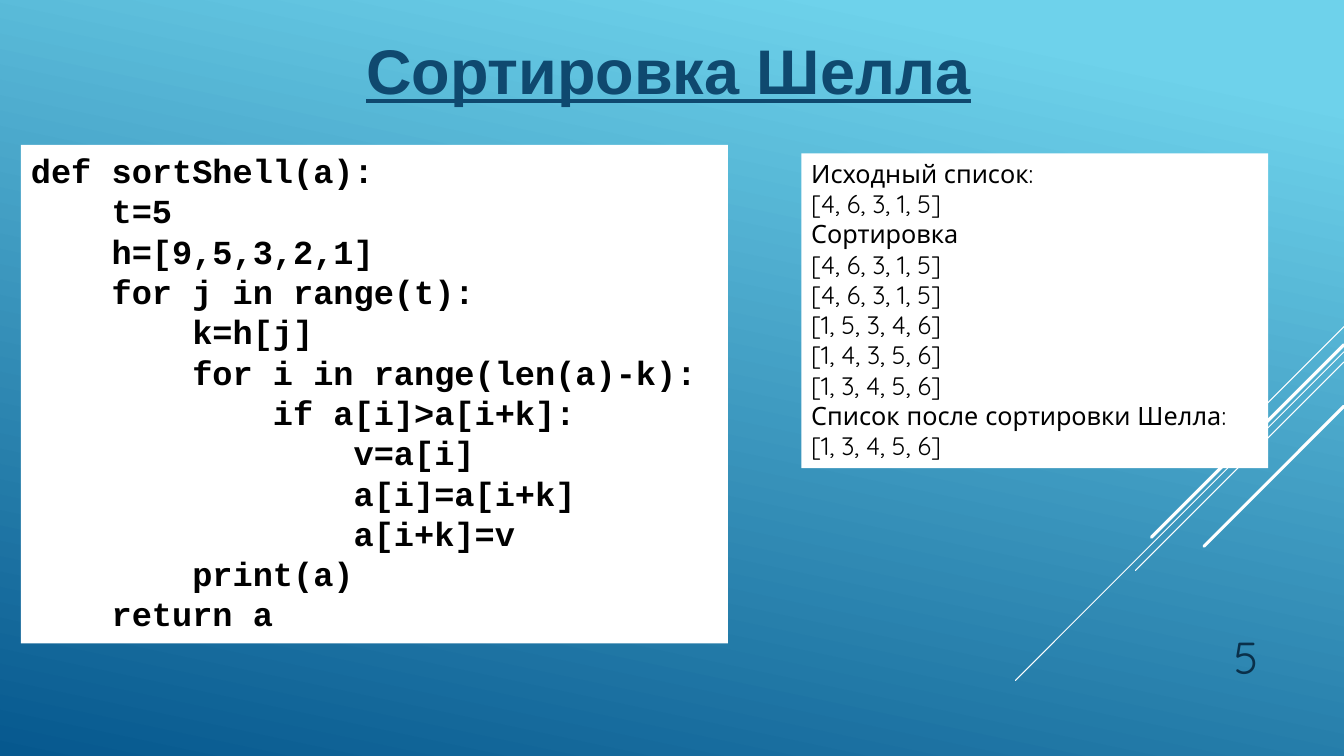
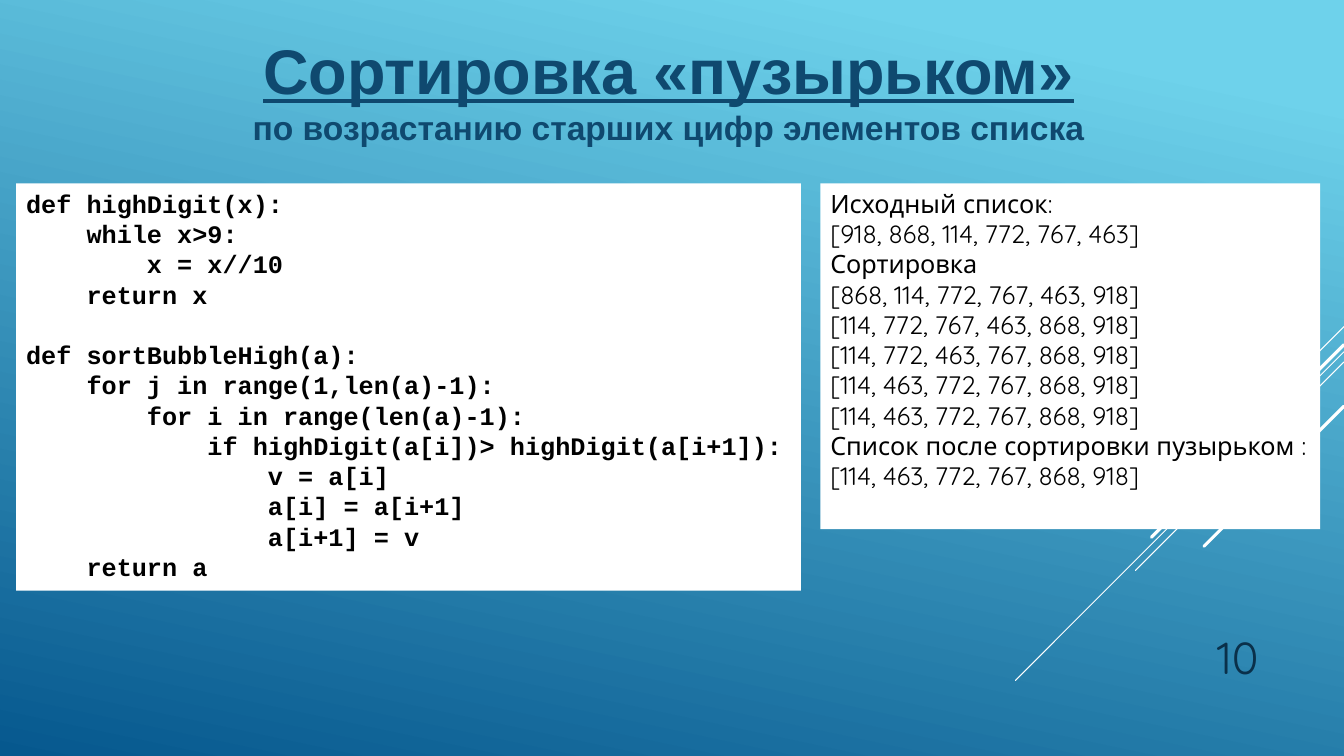
"""Build two slides on sorting algorithms, each with a code panel and an output panel."""
from pptx import Presentation
from pptx.dml.color import RGBColor
from pptx.enum.shapes import MSO_CONNECTOR
from pptx.enum.text import MSO_ANCHOR, MSO_AUTO_SIZE, PP_ALIGN
from pptx.oxml.ns import qn
from pptx.util import Pt
from lxml.etree import SubElement

COLORS = {"sky": "6ED2EB", "deep": "06588E", "title": "0F496F",
          "number": "0A304A", "text": "000000", "panel": "FFFFFF"}
WIDTH, HEIGHT = 960, 540
RAYS = [(233.3, 72, 0.75), (251.3, 234.7, 0.75), (258.5, 149, 0.75),
        (246.2, 137.5, 2.25), (290.2, 100, 2.25)]
NUMBER_BOX = (816, 439.2, 90, 52.5)
TITLE_LEFT, TITLE_TOP, TITLE_WIDTH = 49, 18.7, 857

SHELL_CODE = """def sortShell(a):
    t=5
    h=[9,5,3,2,1]
    for j in range(t):
        k=h[j]
        for i in range(len(a)-k):
            if a[i]>a[i+k]:
                v=a[i]
                a[i]=a[i+k]
                a[i+k]=v
        print(a)
    return a"""

SHELL_OUTPUT = """Исходный список:
[4, 6, 3, 1, 5]
Сортировка
[4, 6, 3, 1, 5]
[4, 6, 3, 1, 5]
[1, 5, 3, 4, 6]
[1, 4, 3, 5, 6]
[1, 3, 4, 5, 6]
Список после сортировки Шелла:
[1, 3, 4, 5, 6]"""

BUBBLE_CODE = """def highDigit(x):
    while x>9:
        x = x//10
    return x

def sortBubbleHigh(a):
    for j in range(1,len(a)-1):
        for i in range(len(a)-1):
            if highDigit(a[i])> highDigit(a[i+1]):
                v = a[i]
                a[i] = a[i+1]
                a[i+1] = v
    return a"""

BUBBLE_OUTPUT = """Исходный список:
[918, 868, 114, 772, 767, 463]
Сортировка
[868, 114, 772, 767, 463, 918]
[114, 772, 767, 463, 868, 918]
[114, 772, 463, 767, 868, 918]
[114, 463, 772, 767, 868, 918]
[114, 463, 772, 767, 868, 918]
Список после сортировки пузырьком :
[114, 463, 772, 767, 868, 918]"""

SLIDES = [
    {"title": ["Сортировка Шелла"], "title_height": 62, "number": "5",
     "code": (SHELL_CODE, (15, 103.5, 505, 356), 24),
     "output": (SHELL_OUTPUT, (572.4, 109.5, 333.4, 225))},
    {"title": ["Сортировка «пузырьком»", "по возрастанию старших цифр элементов списка"],
     "title_height": 91, "number": "10",
     "code": (BUBBLE_CODE, (11.5, 131, 560.5, 291), 18),
     "output": (BUBBLE_OUTPUT, (586, 131, 357, 247))},
]


def rgb(name):
    return RGBColor.from_string(COLORS[name])


def style(font, face, size, color, bold=False, underline=False):
    font.name, font.size = face, Pt(size)
    font.bold, font.underline = bold, underline
    font.color.rgb = rgb(color)


def set_background(master):
    fill = master.background.fill
    fill.gradient()
    fill.gradient_angle = 258
    for stop, position, color in zip(fill.gradient_stops, (0.1, 1), ("sky", "deep")):
        stop.position = position
        stop.color.rgb = rgb(color)


def add_rays(s):
    for y, reach, weight in RAYS:
        ray = s.shapes.add_connector(MSO_CONNECTOR.STRAIGHT, Pt(WIDTH), Pt(y),
                                     Pt(WIDTH - reach), Pt(y + reach))
        ray.line.color.rgb = rgb("panel")
        ray.line.width = Pt(weight)
        sp_pr = ray._element.spPr
        sp_pr.find(qn("a:ln")).set("cap", "rnd")
        SubElement(sp_pr, qn("a:effectLst"))


def set_title(s, lines, box):
    sp = s.shapes.title
    sp.left, sp.top, sp.width, sp.height = map(Pt, box)
    tf = sp.text_frame
    tf.text = "\n".join(lines)
    tf.auto_size = MSO_AUTO_SIZE.NONE
    tf.vertical_anchor = MSO_ANCHOR.TOP
    for i, p in enumerate(tf.paragraphs):
        p.alignment = PP_ALIGN.CENTER
        style(p.runs[0].font, "Arial", 24 if i else 45, "title", True, i == 0)


def add_panel(s, text, box, face, size, bold=False):
    sp = s.shapes.add_textbox(*map(Pt, box))
    sp.fill.solid()
    sp.fill.fore_color.rgb = rgb("panel")
    tf = sp.text_frame
    tf.word_wrap = True
    for i, line in enumerate(text.split("\n")):
        p = tf.add_paragraph() if i else tf.paragraphs[0]
        r = p.add_run()
        r.text = line
        style(r.font, face, size, "text", bold)


def add_number(s, number, box):
    tf = s.shapes.add_textbox(*map(Pt, box)).text_frame
    tf.word_wrap = True
    tf.vertical_anchor = MSO_ANCHOR.BOTTOM
    tf.text = number
    p = tf.paragraphs[0]
    p.alignment = PP_ALIGN.RIGHT
    style(p.runs[0].font, "Quicksand", 32, "number")


def add_sorting_slide(prs, content):
    s = prs.slides.add_slide(prs.slide_layouts.get_by_name("Title Only"))
    add_rays(s)
    set_title(s, content["title"],
              (TITLE_LEFT, TITLE_TOP, TITLE_WIDTH, content["title_height"]))
    code, box, size = content["code"]
    add_panel(s, code, box, "Courier New", size, bold=True)
    output, box = content["output"]
    add_panel(s, output, box, "Quicksand", 18)
    add_number(s, content["number"], NUMBER_BOX)


def main():
    prs = Presentation()
    prs.slide_width, prs.slide_height = Pt(WIDTH), Pt(HEIGHT)
    set_background(prs.slide_master)
    for content in SLIDES:
        add_sorting_slide(prs, content)
    prs.save("out.pptx")


if __name__ == "__main__":
    main()
